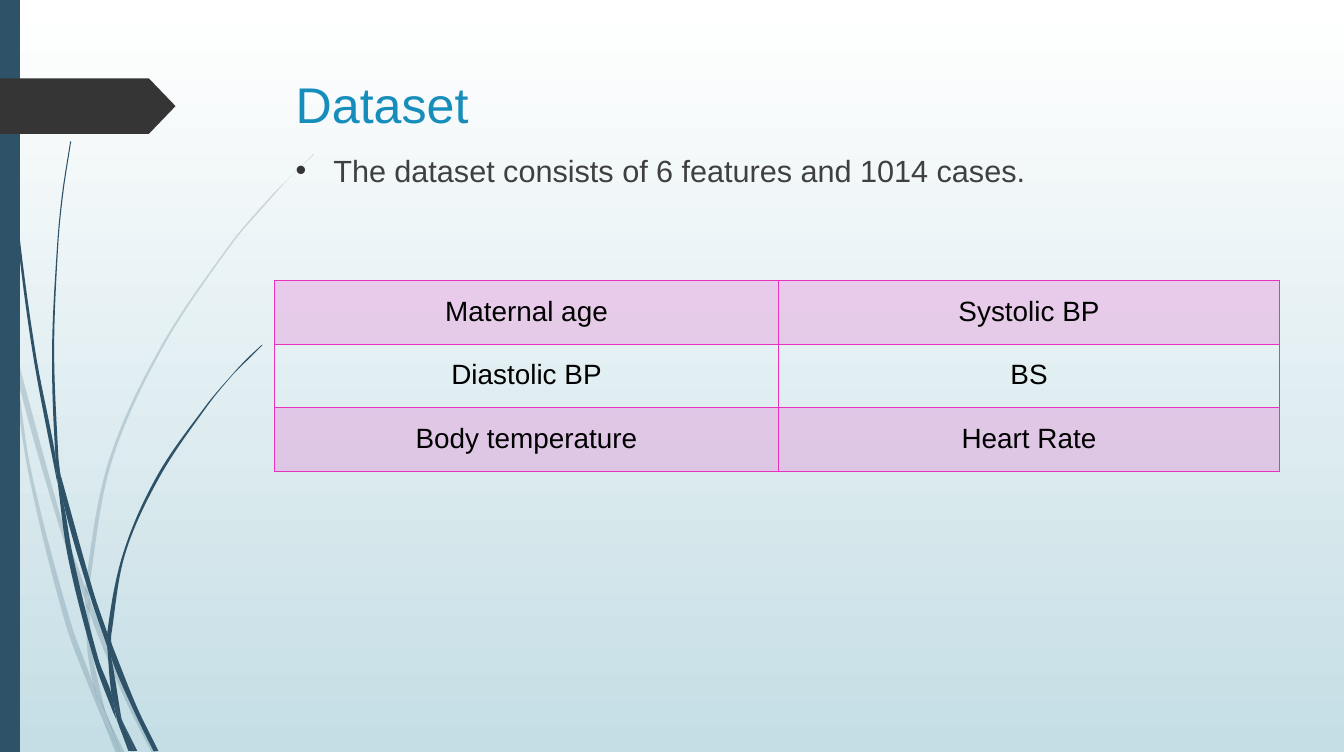
from lxml import etree
from math import hypot
from pptx import Presentation
from pptx.dml.color import RGBColor
from pptx.enum.shapes import MSO_SHAPE
from pptx.enum.text import MSO_ANCHOR, PP_ALIGN
from pptx.oxml.ns import qn
from pptx.util import Pt

RECTANGLE, PENTAGON = MSO_SHAPE.RECTANGLE, MSO_SHAPE.PENTAGON
TOP, CENTER = MSO_ANCHOR.TOP, PP_ALIGN.CENTER
WHITE = RGBColor(0xFF, 0xFF, 0xFF)
MIST = RGBColor(0xC5, 0xDE, 0xE5)
NAVY = RGBColor(0x2E, 0x53, 0x69)
CHARCOAL = RGBColor(0x35, 0x35, 0x35)
BLUE = RGBColor(0x17, 0x8D, 0xBB)
GRAY = RGBColor(0x40, 0x40, 0x40)
BLACK = RGBColor(0, 0, 0)
PINK = RGBColor(0xE8, 0x33, 0xBF)
FONT = "Arial"
FEATURES = [
    ["Maternal age", "Systolic BP"],
    ["Diastolic BP", "BS"],
    ["Body temperature", "Heart Rate"],
]
PALE_BLADES = [
    ([(0, 203), (6.5, 231.8), (7.9, 252)], [(0, 215.3), (7.2, 247.7), (7.9, 252)]),
    ([(10.1, 248.4), (12.2, 270.7), (41.8, 375.8), (61.2, 431.3)],
     [(10.1, 248.4), (44.6, 374.4), (61.2, 421.9)]),
    ([(64.1, 429.1), (64.1, 439.2), (88.6, 499.7), (108.7, 540)],
     [(64.1, 429.1), (67, 437), (92.2, 498.2), (112.3, 540)]),
    ([(75.6, 511.9), (86.4, 540)], [(75.6, 511.9), (89.3, 540)]),
    ([(7.9, 252), (20.2, 338.4), (46.8, 447.1), (66.2, 499), (72.7, 514.1)],
     [(7.9, 252), (12.2, 270.7), (22.3, 337.7), (50.4, 445.7), (67, 491.8),
      (71.3, 509), (72.7, 514.1)]),
    ([(61.2, 431.3), (62.6, 465.1), (67, 491.8), (69.8, 498.2), (75.6, 511.9)],
     [(61.2, 431.3), (64.1, 439.2), (65.5, 465.1), (74.9, 508.3), (75.6, 511.9)]),
    ([(225.4, 110.2), (209.5, 126), (193.7, 141.8), (164.9, 175.7), (114.5, 250.6),
      (77.8, 331.9), (61.2, 421.9), (64.1, 429.1)],
     [(225.4, 110.9), (209.5, 126), (194.4, 142.6), (165.6, 176.4), (115.9, 251.3),
      (79.9, 332.6), (64.1, 420.5), (64.1, 429.1)]),
    ([(72.7, 514.1), (82.8, 540)], [(72.7, 514.1), (85.7, 540)]),
    ([(61.2, 421.9), (61.2, 431.3), (64.1, 439.2)],
     [(61.2, 421.9), (64.1, 429.1), (64.1, 439.2)]),
    ([(67, 491.8), (71.3, 509), (72.7, 514.1), (85.7, 540)],
     [(67, 491.8), (69.8, 498.2), (76.3, 511.9), (86.4, 540)]),
]
DARK_BLADES = [
    ([(2.2, 0), (2.9, 34.6), (5, 79.2), (12.2, 167.8), (23.8, 255.6), (41, 346.3)],
     [(2.9, 0), (3.6, 34.6), (5.8, 78.5), (13.7, 167), (25.9, 255.6),
      (39.6, 326.2), (41, 346.3)]),
    ([(43.2, 339.8), (46.1, 363.6), (64.1, 426.2), (77, 464.4)],
     [(43.2, 339.8), (67, 424.8), (77, 454.3)]),
    ([(79.9, 461.5), (79.9, 472.3), (95.8, 509.8), (110.2, 539.3)],
     [(79.9, 461.5), (82.1, 467.3), (98.6, 508.3), (113.8, 539.3)]),
    ([(41, 343.4), (49, 401), (67.7, 474.5), (80.6, 509.8), (85, 519.8)],
     [(41, 343.4), (46.1, 363.6), (52.6, 400.3), (70.6, 473), (79.9, 497.5),
      (83.5, 516.2), (85, 519.8)]),
    ([(50.4, 101.5), (44.6, 139), (41, 176.4), (37.4, 251.3), (39.6, 323.3),
      (43.2, 339.8)],
     [(51.1, 101.5), (45.4, 139), (41.8, 176.4), (38.9, 251.3), (41.8, 326.2),
      (43.2, 339.8)]),
    ([(87.8, 517.7), (96.5, 539.3)], [(87.8, 517.7), (98.6, 539.3)]),
    ([(39.6, 323.3), (41, 343.4), (46.1, 363.6)],
     [(39.6, 323.3), (43.2, 339.8), (46.1, 363.6)]),
    ([(187.9, 247.7), (177.1, 257.8), (167, 268.6), (147.6, 291.6), (113, 341.3),
      (88.6, 396.7), (77, 454.3), (79.9, 461.5)],
     [(188.6, 247.7), (177.8, 258.5), (167, 269.3), (148.3, 292.3), (114.5, 342.7),
      (90, 397.4), (79.9, 455.8), (79.9, 461.5)]),
    ([(85, 519.8), (92.2, 539.3)], [(85, 519.8), (94.3, 539.3)]),
    ([(77, 464.4), (79.9, 497.5), (83.5, 508.3), (87.8, 517.7)],
     [(77, 464.4), (79.9, 472.3), (87.1, 515.5), (87.8, 517.7)]),
    ([(77, 454.3), (77, 464.4), (79.9, 472.3)],
     [(77, 454.3), (79.9, 461.5), (79.9, 472.3)]),
    ([(79.9, 497.5), (85, 519.8), (94.3, 539.3)],
     [(79.9, 497.5), (83.5, 508.3), (87.8, 517.7), (96.5, 539.3)]),
]


def set_alpha(fill_parent, percent):
    """Make the solid fill under an element partly transparent."""
    color = fill_parent.find(qn("a:solidFill"))[0]
    etree.SubElement(color, qn("a:alpha"), val=str(percent * 1000))


def paint(shape, color):
    """Give a shape a plain fill without line or shadow."""
    shape.shadow.inherit = False
    shape.fill.solid()
    shape.fill.fore_color.rgb = color
    shape.line.fill.background()


def curve(knots):
    """Return two handles and an end for each smooth step between knots."""
    padded = [knots[0], *knots, knots[-1]]
    points = []
    for a, b, c, d in zip(padded, padded[1:], padded[2:], padded[3:]):
        reach = hypot(c[0] - b[0], c[1] - b[1]) / 3
        near = reach / hypot(c[0] - a[0], c[1] - a[1])
        far = reach / hypot(d[0] - b[0], d[1] - b[1])
        points += [(b[0] + (c[0] - a[0]) * near, b[1] + (c[1] - a[1]) * near),
                   (c[0] - (d[0] - b[0]) * far, c[1] - (d[1] - b[1]) * far), c]
    return points


def add_blade(slide, left, right, opacity=100):
    """Draw a curved blade between its left and right edges."""
    back = right[::-1]
    points = curve(left) + [left[-1], back[0], back[0]] + curve(back)
    builder = slide.shapes.build_freeform(Pt(left[0][0]), Pt(left[0][1]), scale=1.0)
    builder.add_line_segments([(Pt(x), Pt(y)) for x, y in points], close=True)
    blade = builder.convert_to_shape()
    lines = list(blade.element.spPr.iter(qn("a:lnTo")))
    for first, second, end in zip(lines[::3], lines[1::3], lines[2::3]):
        bend = etree.Element(qn("a:cubicBezTo"))
        first.addprevious(bend)
        for line in (first, second, end):
            bend.append(line[0])
            line.getparent().remove(line)
    paint(blade, NAVY)
    if opacity < 100:
        set_alpha(blade.element.spPr, opacity)


def add_block(slide, kind, left, top, width, height, color):
    """Add a plain preset shape."""
    block = slide.shapes.add_shape(kind, Pt(left), Pt(top), Pt(width), Pt(height))
    paint(block, color)
    return block


def style_text(para, size, color):
    """Set the font of every run in a paragraph."""
    for span in para.runs:
        span.font.name = FONT
        span.font.size = Pt(size)
        span.font.color.rgb = color


def add_text(slide, top, height, text, size, color):
    """Add a text box in the content column and return its paragraph."""
    box = slide.shapes.add_textbox(Pt(205.2), Pt(top), Pt(705), Pt(height))
    frame = box.text_frame
    frame.word_wrap = True
    frame.vertical_anchor = TOP
    frame.text = text
    style_text(frame.paragraphs[0], size, color)
    return frame.paragraphs[0]


def add_bullet(para, indent, color):
    """Give a paragraph a round bullet with a hanging indent."""
    properties = para._p.get_or_add_pPr()
    properties.set("marL", str(Pt(indent)))
    properties.set("indent", str(-Pt(indent)))
    bullet_color = etree.SubElement(properties, qn("a:buClr"))
    etree.SubElement(bullet_color, qn("a:srgbClr"), val=str(color))
    etree.SubElement(properties, qn("a:buFont"), typeface=FONT)
    etree.SubElement(properties, qn("a:buChar"), char="•")


def add_borders(cell, color):
    """Draw a one-point line on all four sides of a cell."""
    properties = cell._tc.get_or_add_tcPr()
    for index, side in enumerate(("lnL", "lnR", "lnT", "lnB")):
        line = etree.Element(qn(f"a:{side}"), w=str(Pt(1)))
        fill = etree.SubElement(line, qn("a:solidFill"))
        etree.SubElement(fill, qn("a:srgbClr"), val=str(color))
        properties.insert(index, line)


def add_feature_table(slide):
    """Add the table of dataset features with tinted alternate rows."""
    table = slide.shapes.add_table(
        len(FEATURES), 2, Pt(197.3), Pt(201.6), Pt(721.4), Pt(112.2)).table
    table.first_row = table.horz_banding = False
    table.columns[0].width, table.columns[1].width = Pt(361.4), Pt(360)
    for row, names in enumerate(FEATURES):
        for column, name in enumerate(names):
            cell = table.cell(row, column)
            cell.margin_left = cell.margin_right = Pt(10.8)
            cell.margin_top = cell.margin_bottom = Pt(10.8)
            cell.text_frame.text = name
            para = cell.text_frame.paragraphs[0]
            para.alignment = CENTER
            style_text(para, 20, BLACK)
            if row % 2 == 0:
                cell.fill.solid()
                cell.fill.fore_color.rgb = PINK
                set_alpha(cell._tc.tcPr, 20)
            else:
                cell.fill.background()
            add_borders(cell, PINK)


def set_background(slide):
    """Fill the slide with a vertical gradient."""
    fill = slide.background.fill
    fill.gradient()
    fill.gradient_angle = 270
    for stop, color in zip(fill.gradient_stops, (WHITE, MIST)):
        stop.color.rgb = color


def main():
    """Build the dataset slide."""
    deck = Presentation()
    deck.slide_width, deck.slide_height = Pt(964.8), Pt(540)
    page = deck.slides.add_slide(deck.slide_layouts[6])
    set_background(page)
    for left, right in PALE_BLADES:
        add_blade(page, left, right, 20)
    for left, right in DARK_BLADES:
        add_blade(page, left, right)
    add_block(page, RECTANGLE, 0, 0, 14.4, 540, NAVY)
    marker = add_block(page, PENTAGON, 0, 56.2, 126, 40, CHARCOAL)
    marker.adjustments[0] = 0.48
    add_text(page, 49.5, 56.2, "Dataset", 36, BLUE)
    bullet = add_text(page, 105.6, 297.4,
                      "The dataset consists of 6 features and 1014 cases.", 22, GRAY)
    bullet.space_before = Pt(10)
    add_bullet(bullet, 27, CHARCOAL)
    add_feature_table(page)
    deck.save("out.pptx")


if __name__ == "__main__":
    main()
